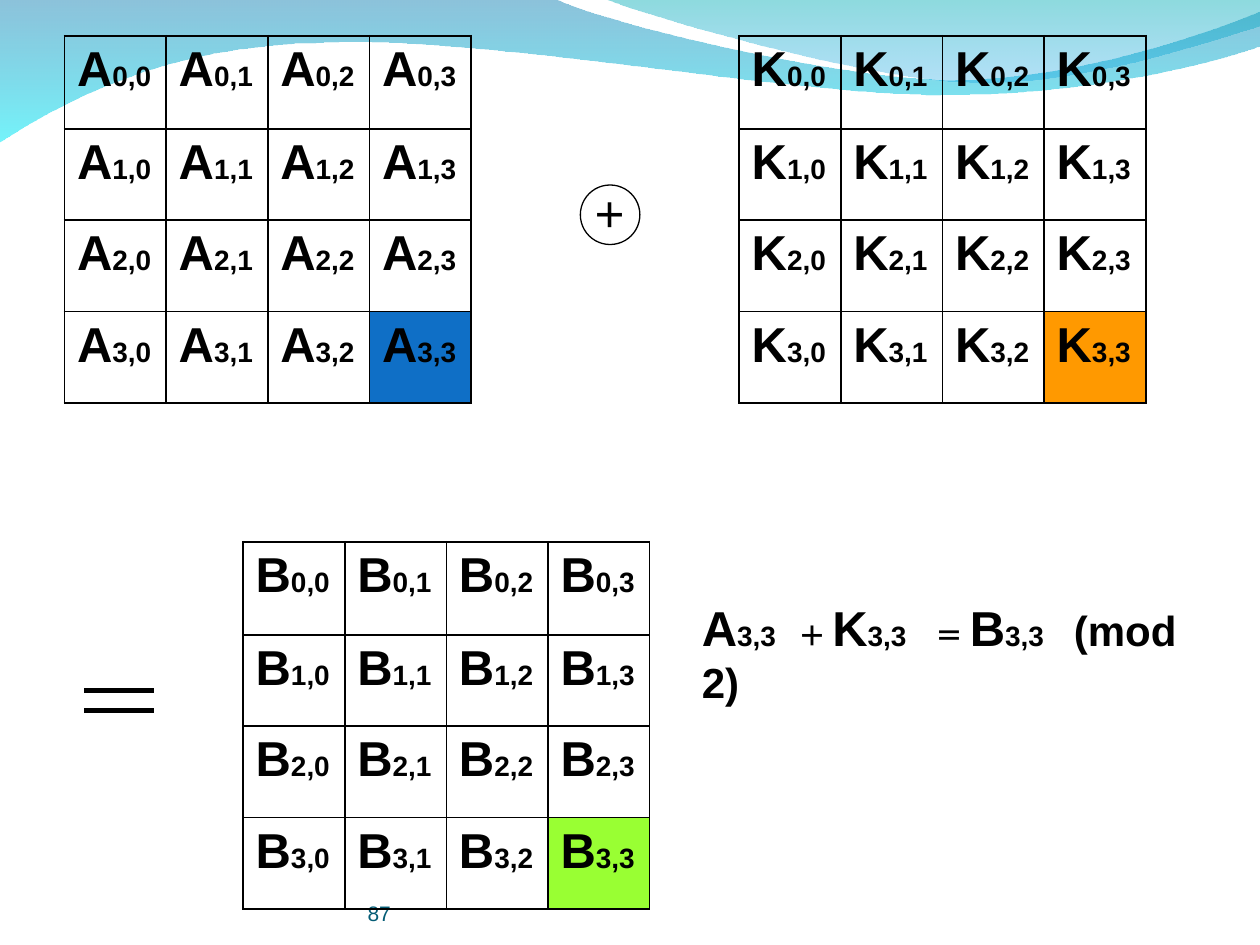
from dataclasses import dataclass
from lxml import etree
from pptx import Presentation
from pptx import util as u
from pptx.dml.color import RGBColor
from pptx.enum import shapes, text
from pptx.oxml import ns

BLACK = RGBColor(0x00, 0x00, 0x00)
WHITE = RGBColor(0xFF, 0xFF, 0xFF)
NUMBER_TEAL = RGBColor(0x04, 0x5C, 0x75)
STATE_BLUE = RGBColor(0x0F, 0x6F, 0xC6)
KEY_ORANGE = RGBColor(0xFF, 0x99, 0x00)
RESULT_GREEN = RGBColor(0x99, 0xFF, 0x33)
DEEP_BLUE = RGBColor(0x00, 0x79, 0xAF)
CYAN = RGBColor(0x00, 0xEB, 0xF8)
TEAL = RGBColor(0x00, 0xAD, 0xB6)
SKY = RGBColor(0x00, 0x9B, 0xE5)

SIDE = 4
COLUMN_WIDTH = 2.05
ROW_HEIGHTS = [1.88] + [1.84] * 3

BACK_WAVE = [
    [(11.18, -0.03)],
    [(12.09, 0.43), (16.87, 1.6), (19.25, 1.6)],
    [(21.67, 1.6), (24.33, 0.66), (25.4, 0.23)],
    [(25.43, 0.91)],
    [(24.97, 1.12), (22.1, 1.93), (18.95, 1.91)],
    [(15.8, 1.91), (9.7, 0.71), (6.53, 0.86)],
    [(3.28, 0.89), (1.17, 2.11), (-0.03, 2.87)],
]
FRONT_WAVE = [
    [(12.93, 0.28), (17.32, 1.57), (19.53, 1.65)],
    [(21.74, 1.75), (24.41, 0.81), (25.4, 0.53)],
    [(25.4, 0)],
]


@dataclass
class Painter:
    page: object
    font: str = "Arial"
    grid_line: float = 1.08

    def span(self, para, words, size, color=BLACK, bold=True):
        span = para.add_run()
        span.text = words
        span.font.name = self.font
        span.font.size = u.Pt(size)
        span.font.bold = bold
        span.font.color.rgb = color

    def bend(self, wave, edges):
        segments = iter(list(wave.element.spPr.iter(ns.qn("a:lnTo"))))
        for edge in edges:
            group = [next(segments) for point in edge]
            if len(group) == 3:
                curve = etree.Element(ns.qn("a:cubicBezTo"))
                group[0].addprevious(curve)
                for segment in group:
                    curve.append(segment[0])
                    segment.getparent().remove(segment)

    def wave(self, start, edges, stops):
        points = [start] + [point for edge in edges for point in edge]
        corners = [(u.Cm(x), u.Cm(y)) for x, y in points]
        builder = self.page.shapes.build_freeform(*corners[0])
        builder.add_line_segments(corners[1:], close=True)
        wave = builder.convert_to_shape()
        self.bend(wave, edges)
        wave.shadow.inherit = False
        wave.line.fill.background()
        wave.fill.gradient()
        wave.fill.gradient_angle = 270
        for stop, (color, opacity) in zip(wave.fill.gradient_stops, stops):
            stop.color.rgb = color
        colors = wave.element.spPr.iter(ns.qn("a:srgbClr"))
        for node, (color, opacity) in zip(colors, stops):
            etree.SubElement(node, ns.qn("a:alpha"), val=str(opacity * 1000))

    def borders(self, cell):
        props = cell._tc.get_or_add_tcPr()
        for index, side in enumerate(("lnL", "lnR", "lnT", "lnB")):
            line = etree.Element(ns.qn(f"a:{side}"), w=str(u.Pt(self.grid_line)))
            fill = etree.SubElement(line, ns.qn("a:solidFill"))
            etree.SubElement(fill, ns.qn("a:srgbClr"), val=str(BLACK))
            props.insert(index, line)

    def matrix(self, letter, left, top, highlight):
        frame = self.page.shapes.add_table(
            SIDE, SIDE, u.Cm(left), u.Cm(top),
            u.Cm(SIDE * COLUMN_WIDTH), u.Cm(sum(ROW_HEIGHTS)))
        table = frame.table
        table.first_row = table.horz_banding = False
        for column in table.columns:
            column.width = u.Cm(COLUMN_WIDTH)
        for i, height in enumerate(ROW_HEIGHTS):
            table.rows[i].height = u.Cm(height)
            for j in range(SIDE):
                cell = table.cell(i, j)
                para = cell.text_frame.paragraphs[0]
                self.span(para, letter, 28)
                self.span(para, f"{i},{j}", 16)
                cell.fill.background()
                self.borders(cell)
        corner = table.cell(SIDE - 1, SIDE - 1)
        corner.fill.solid()
        corner.fill.fore_color.rgb = highlight

    def operator(self, sign, left, top, size):
        circle = self.page.shapes.add_shape(
            shapes.MSO_SHAPE.OVAL, u.Cm(left), u.Cm(top), u.Cm(size), u.Cm(size))
        circle.shadow.inherit = False
        circle.fill.solid()
        circle.fill.fore_color.rgb = WHITE
        circle.line.color.rgb = BLACK
        circle.line.width = u.Pt(0.75)
        circle.text_frame.word_wrap = False
        circle.text_frame.vertical_anchor = text.MSO_ANCHOR.MIDDLE
        para = circle.text_frame.paragraphs[0]
        para.alignment = text.PP_ALIGN.CENTER
        self.span(para, sign, 20)

    def bar(self, left, right, height):
        bar = self.page.shapes.add_connector(
            shapes.MSO_CONNECTOR.STRAIGHT,
            u.Cm(left), u.Cm(height), u.Cm(right), u.Cm(height))
        bar.line.color.rgb = BLACK
        bar.line.width = u.Pt(3)
        etree.SubElement(bar.element.spPr, ns.qn("a:effectLst"))

    def box(self, left, top, width, height):
        box = self.page.shapes.add_textbox(
            u.Cm(left), u.Cm(top), u.Cm(width), u.Cm(height))
        box.text_frame.word_wrap = True
        return box.text_frame

    def number(self, words, *place):
        frame = self.box(*place)
        frame.margin_left = frame.margin_right = 0
        frame.margin_top = frame.margin_bottom = 0
        frame.vertical_anchor = text.MSO_ANCHOR.BOTTOM
        self.span(frame.paragraphs[0], words, 12, NUMBER_TEAL, False)

    def formula(self, parts, tabs, *place):
        para = self.box(*place).paragraphs[0]
        stops = etree.SubElement(para._p.get_or_add_pPr(), ns.qn("a:tabLst"))
        for tab in tabs:
            etree.SubElement(stops, ns.qn("a:tab"), pos=str(u.Cm(tab)), algn="l")
        for words, size in parts:
            self.span(para, words, size)


def main():
    deck = Presentation()
    deck.slide_width, deck.slide_height = u.Cm(25.4), u.Cm(19.05)
    painter = Painter(deck.slides.add_slide(deck.slide_layouts[6]))

    painter.wave((0, -0.03), BACK_WAVE, [(DEEP_BLUE, 45), (CYAN, 55)])
    painter.wave((12.17, -0.03), FRONT_WAVE, [(TEAL, 45), (SKY, 30)])
    painter.number("87", 7.41, 17.65, 9.32, 1.02)
    painter.matrix("A", 1.3, 0.72, STATE_BLUE)
    painter.matrix("K", 14.9, 0.72, KEY_ORANGE)
    painter.operator("＋", 11.7, 3.73, 1.2)
    for height in (13.92, 14.33):
        painter.bar(1.7, 3.1, height)
    painter.matrix("B", 4.9, 10.92, RESULT_GREEN)
    painter.formula(
        [("A", 28), ("3,3\t＋ ", 16), ("K", 28), ("3,3\t＝ ", 16),
         ("B", 28), ("3,3\t", 16), ("(mod 2)", 24)],
        (1.94, 4.71, 7.5), 13.9, 11.92, 11, 2.46)

    deck.save("out.pptx")


if __name__ == "__main__":
    main()
